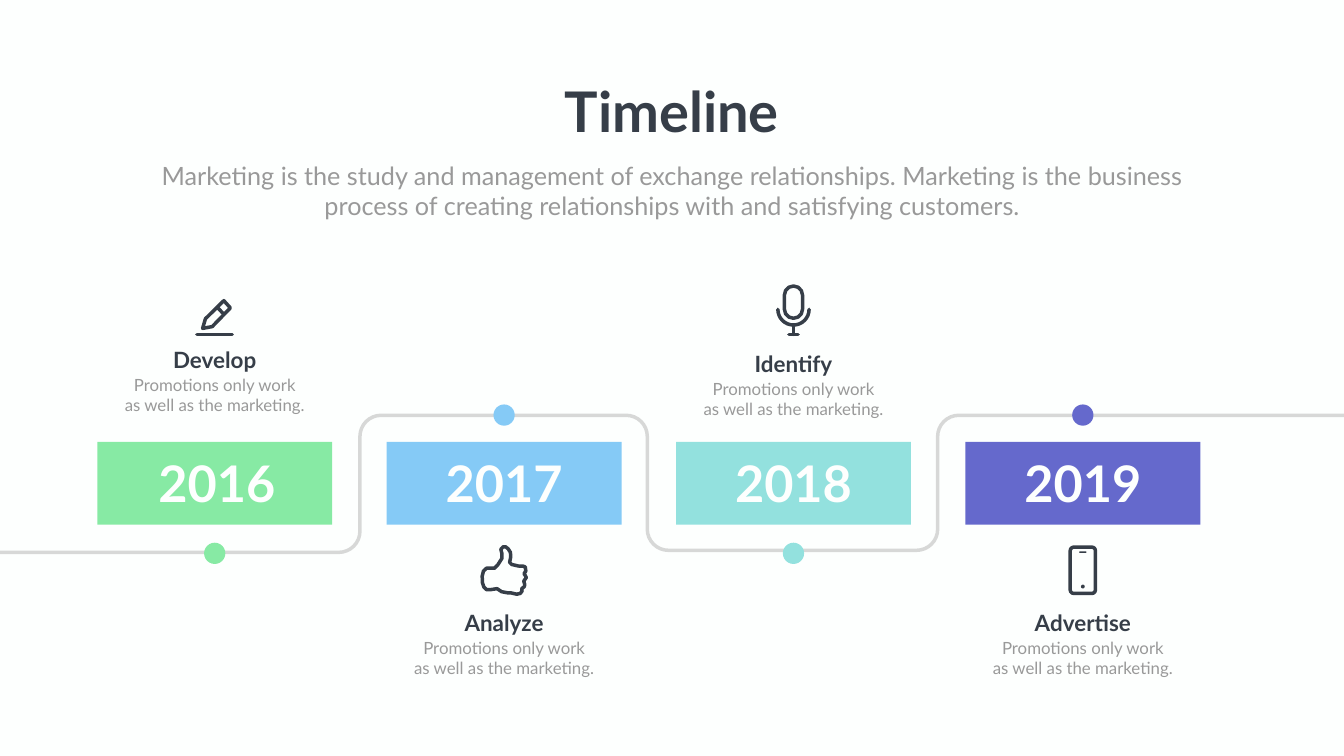
from dataclasses import dataclass
from math import cos, pi, sin

from lxml import etree
from pptx import Presentation
from pptx.dml.color import RGBColor
from pptx.enum.shapes import MSO_SHAPE
from pptx.enum.text import PP_ALIGN
from pptx.oxml.ns import qn
from pptx.util import Pt

RECTANGLE, ROUNDED, OVAL = MSO_SHAPE.RECTANGLE, MSO_SHAPE.ROUNDED_RECTANGLE, MSO_SHAPE.OVAL
CENTER = PP_ALIGN.CENTER


@dataclass(frozen=True)
class Theme:
    font: str = "Lato"
    paper: str = "FDFFFE"
    ink: str = "363E48"
    muted: str = "999999"
    road: str = "808080"
    title: int = 80
    year: int = 72
    intro: int = 36
    heading: int = 32
    body: int = 24
    stroke: int = 5


theme = Theme()
prs = Presentation()
prs.slide_width, prs.slide_height = Pt(1919.52), Pt(1080)
slide = prs.slides.add_slide(prs.slide_layouts[6])
slide.background.fill.solid()
slide.background.fill.fore_color.rgb = RGBColor.from_string(theme.paper)


def add_text(text, *, center, top, width, height, size, color, bold=False, wrap=True):
    box = slide.shapes.add_textbox(Pt(center - width / 2), Pt(top), Pt(width), Pt(height))
    frame = box.text_frame
    frame.word_wrap = wrap
    frame.text = text
    for paragraph in frame.paragraphs:
        paragraph.alignment = CENTER
        font = paragraph.font
        font.name, font.size, font.bold = theme.font, Pt(size), bold
        font.color.rgb = RGBColor.from_string(color)


def add_stroke(points, color=theme.ink, closed=False, opacity=100):
    corners = [(Pt(x), Pt(y)) for x, y in points]
    builder = slide.shapes.build_freeform(*corners[0])
    builder.add_line_segments(corners[1:], close=closed)
    shape = builder.convert_to_shape()
    shape.shadow.inherit = False
    shape.fill.background()
    shape.line.width = Pt(theme.stroke)
    shape.line.color.rgb = RGBColor.from_string(color)
    line = shape.line._get_or_add_ln()
    line.set("cap", "rnd")
    etree.SubElement(line, qn("a:round"))
    if opacity < 100:
        etree.SubElement(line.find(".//" + qn("a:srgbClr")), qn("a:alpha"), val=str(opacity * 1000))


# Columns: year, heading, colour, heading top, dot centre height, year shift
milestones = [
    ("2016", "Develop", "87EAA4", 491, 790.5, 3),
    ("2017", "Analyze", "85CAF6", 866.9, 593, 0),
    ("2018", "Identify", "93E1DE", 496.8, 790.5, 0),
    ("2019", "Advertise", "6569CC", 866.9, 593, 0),
]
centers = [306.7 + 413.28 * i for i in range(len(milestones))]
pencil_x, thumb_x, mic_x, phone_x = centers

# Winding road with rounded bends
radius, upper = 30.2, 593.3
bends = [(0, 789.1), (514.1, 789.1), (514.1, upper), (924.5, upper), (924.5, 786.2),
         (1339.2, 786.2), (1339.2, upper), (1919.5, upper)]
road = [bends[0]]
for before, (x, y), after in zip(bends, bends[1:], bends[2:]):
    if before[1] == y:  # arrives level, leaves upright
        side, rise = 1, (1 if after[1] > y else -1)
        start, center_y = x - radius, y + rise * radius
        road += [(start + radius * sin(a * pi / 16), center_y - rise * radius * cos(a * pi / 16))
                 for a in range(9)]
    else:  # arrives upright, leaves level
        rise = 1 if y > before[1] else -1
        road += [(x + radius - radius * cos(a * pi / 16),
                  y - rise * radius + rise * radius * sin(a * pi / 16)) for a in range(9)]
road.append(bends[-1])
add_stroke(road, color=theme.road, opacity=30)

# Year bars, dots and the plain parts of the icons: kind, centre, top, size, fill, corner
plain_parts = []
for center, (_, _, color, _, dot_y, _) in zip(centers, milestones):
    plain_parts += [(RECTANGLE, center, 631.4, 335.5, 118.1, color, None),
                    (OVAL, center, dot_y - 15.2, 30.4, 30.4, color, None)]
plain_parts += [
    (ROUNDED, mic_x, 408.6, 25.9, 46.1, None, 0.5),
    (ROUNDED, phone_x, 781.6, 36, 66.2, None, 0.14),
    (ROUNDED, phone_x, 787.7, 10.4, 2.2, theme.ink, 0.5),
    (OVAL, phone_x, 835.2, 5.4, 5.4, theme.ink, None),
]
for kind, center, top, width, height, fill, corner in plain_parts:
    part = slide.shapes.add_shape(kind, Pt(center - width / 2), Pt(top), Pt(width), Pt(height))
    part.shadow.inherit = False
    if corner is not None:
        part.adjustments[0] = corner
    if fill:
        part.fill.solid()
        part.fill.fore_color.rgb = RGBColor.from_string(fill)
        part.line.fill.background()
    else:
        part.fill.background()
        part.line.color.rgb = RGBColor.from_string(theme.ink)
        part.line.width = Pt(theme.stroke)

# Drawn icon strokes: column centre, closed, points as offset from centre and height
thumb = [(18, 848.9), (23, 847.8), (25.6, 844.6), (25.2, 841), (28.8, 838.1), (29.5, 835.2),
         (28.1, 830.2), (31.7, 825.1), (30.2, 822.2), (28.4, 819.7), (31, 815.8), (30.2, 810),
         (27.4, 808.9), (20.2, 808.6), (10.8, 806.4), (7.9, 803.5), (9.4, 795.6), (9, 789.1),
         (5.8, 784.1), (2.2, 781.2), (-1.4, 781.2), (-4.7, 784.8), (-3.2, 790.6),
         (-3.2, 797.8), (-8.6, 806.4), (-13.7, 811.8), (-25.2, 811.8), (-29.5, 815.8),
         (-31.3, 823), (-31, 832.3), (-28.8, 838.8), (-25.2, 842.4), (-19.4, 842.4),
         (-10.1, 841), (-3.6, 845.3), (5.8, 847.1), (10.1, 847.1)]
pencil = [(-17.3, 469.1), (-13.3, 455.4), (13, 429.5), (22.3, 439.9), (-3.6, 466.6)]
mic_cup = [(22.3 * cos(a * pi / 16), 442 + 22.3 * sin(a * pi / 16)) for a in range(17)]
icon_strokes = [
    (pencil_x, True, pencil),
    (pencil_x, False, [(5.1, 440.6), (11.9, 447.8)]),
    (pencil_x, False, [(-25.5, 477.7), (25, 477.7)]),
    (thumb_x, True, thumb),
    (mic_x, False, mic_cup),
    (mic_x, False, [(0, 464.3), (0, 477.7)]),
    (mic_x, False, [(-6.5, 477.7), (6.5, 477.7)]),
]
for center, closed, points in icon_strokes:
    add_stroke([(center + x, y) for x, y in points], closed=closed)

# Title and introduction
add_text("Timeline", center=959.5, top=105.8, width=326, height=104.4,
         size=theme.title, color=theme.ink, bold=True, wrap=False)
add_text("Marketing is the study and management of exchange relationships. Marketing is the "
         "business process of creating relationships with and satisfying customers.",
         center=959.8, top=225.4, width=1533.6, height=94.3, size=theme.intro, color=theme.muted)

# Milestone texts
for center, (year, heading, _, top, _, shift) in zip(centers, milestones):
    add_text(heading, center=center, top=top, width=206.6, height=46,
             size=theme.heading, color=theme.ink, bold=True)
    add_text("Promotions only work\nas well as the marketing.", center=center, top=top + 40.3,
             width=319.7, height=65.5, size=theme.body, color=theme.muted)
    add_text(year, center=center + shift, top=643, width=262, height=94.3,
             size=theme.year, color=theme.paper, bold=True)

prs.save("out.pptx")
